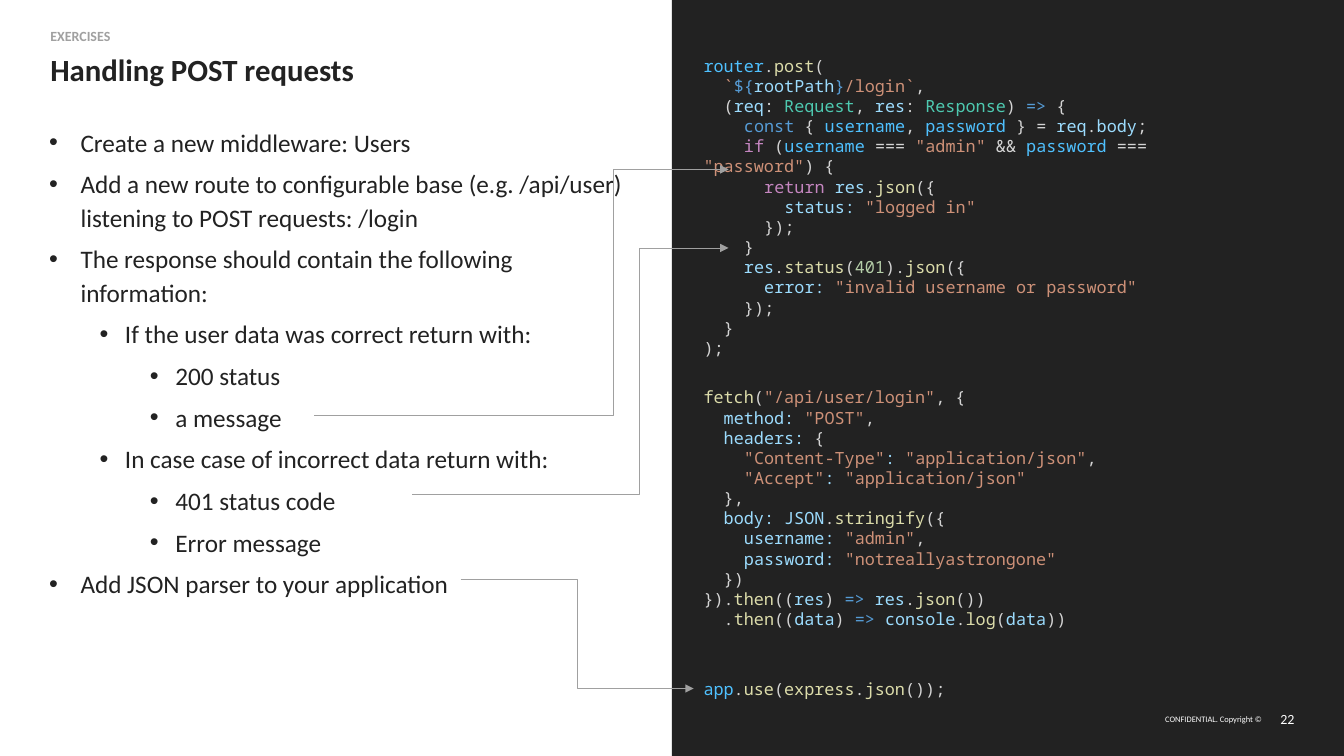
"""Build a slide on handling POST requests, with exercise steps linked to code."""
from lxml.etree import SubElement
from pptx import Presentation
from pptx.dml.color import RGBColor
from pptx.enum.shapes import MSO_CONNECTOR, MSO_SHAPE
from pptx.enum.text import MSO_ANCHOR as ANCHOR, PP_ALIGN as ALIGN
from pptx.oxml.ns import qn
from pptx.util import Cm, Pt

COLOURS = {
    "white": "FFFFFF",
    "dark": "222222",
    "grey": "A0A0A0",
    "op": "D4D4D4",
    "const": "4FC1FF",
    "fn": "DCDCAA",
    "str": "CE9178",
    "key": "569CD6",
    "var": "9CDCFE",
    "type": "4EC9B0",
    "flow": "C586C0",
    "num": "B5CEA8",
}
CODE_INDENT = 0.51


def add_frame(left, top, width, height, inset=True, anchor=ANCHOR.TOP):
    box = slide.shapes.add_textbox(Cm(left), Cm(top), Cm(width), Cm(height))
    frame = box.text_frame
    frame.word_wrap = True
    frame.vertical_anchor = anchor
    if not inset:
        frame.margin_left = frame.margin_right = 0
        frame.margin_top = frame.margin_bottom = 0
    return frame


def add_text(frame, text, size=18, colour="dark", font="Calibri", bold=False, align=ALIGN.LEFT,
             line_spacing=None, before=0, margin=0, indent=0, bullet=False, code=False):
    paragraph = frame.paragraphs[0]
    if paragraph.runs:
        paragraph = frame.add_paragraph()
    paragraph.alignment = align
    paragraph.space_before = Pt(before)
    if line_spacing:
        paragraph.line_spacing = line_spacing
    properties = paragraph._p.get_or_add_pPr()
    properties.set("marL", str(Cm(margin)))
    properties.set("indent", str(Cm(indent)))
    if bullet:
        SubElement(properties, qn("a:buFont"), typeface="Arial")
        SubElement(properties, qn("a:buChar"), char="•")
    pieces = [piece.split(":", 1) for piece in text.split("|")] if code else [(colour, text)]
    for kind, words in pieces:
        run = paragraph.add_run()
        run.text = words
        run.font.size = Pt(size)
        run.font.name = font
        run.font.bold = bold
        run.font.color.rgb = RGBColor.from_string(COLOURS[kind])


presentation = Presentation()
presentation.slide_width = Cm(33.87)
presentation.slide_height = Cm(19.05)
slide = presentation.slides.add_slide(presentation.slide_layouts[6])

panel = slide.shapes.add_shape(MSO_SHAPE.RECTANGLE, Cm(16.93), 0, Cm(16.94), Cm(19.05))
panel.shadow.inherit = False
panel.fill.solid()
panel.fill.fore_color.rgb = RGBColor.from_string(COLOURS["dark"])
panel.line.fill.background()

footer = add_frame(29.18, 17.81, 2.62, 0.61, inset=False, anchor=ANCHOR.MIDDLE)
add_text(footer, "CONFIDENTIAL. Copyright ©", size=6, colour="white", align=ALIGN.RIGHT)
page_number = add_frame(31.93, 17.81, 0.69, 0.61, inset=False, anchor=ANCHOR.MIDDLE)
add_text(page_number, "22", size=10, colour="white", align=ALIGN.RIGHT)
section = add_frame(1.27, 0.64, 10.03, 0.64, inset=False)
add_text(section, "EXERCISES", size=10, colour="grey", bold=True, line_spacing=1.1, before=6)
title = add_frame(1.27, 1.27, 13.34, 1.27, inset=False)
add_text(title, "Handling POST requests", size=22, bold=True)

steps = [
    (0, "Create a new middleware: Users"),
    (0, "Add a new route to configurable base (e.g. /api/user) listening to POST requests: /login"),
    (0, "The response should contain the following information:"),
    (1, "If the user data was correct return with:"),
    (2, "200 status"),
    (2, "a message"),
    (1, "In case case of incorrect data return with:"),
    (2, "401 status code"),
    (2, "Error message"),
    (0, "Add JSON parser to your application"),
]
step_indents = [(0.79, -0.79), (1.91, -0.64), (3.18, -0.64)]
step_list = add_frame(0.99, 3, 15.11, 12.93)
for level, step in steps:
    margin, indent = step_indents[level]
    add_text(step_list, step, line_spacing=1.1, before=6, margin=margin, indent=indent, bullet=True)

parser_code = [
    (0, "const:app|op:.|fn:use|op:(|fn:express|op:.|fn:json|op:());"),
]
route_code = [
    (0, "const:router|op:.|fn:post|op:("),
    (1, "str:`|key:${|var:rootPath|key:}|str:/login`|op:,"),
    (1, "op:(|var:req|op:: |type:Request|op:, |var:res|op:: |type:Response|op:) |key:=>|op: {"),
    (2, "key:const|op: { |const:username|op:, |const:password|op: } = |var:req|op:.|var:body|op:;"),
    (2, 'flow:if|op: (|const:username|op: === |str:"admin"|op: && |const:password|op: === '
        '|str:"password"|op:) {'),
    (3, "flow:return |var:res|op:.|fn:json|op:({"),
    (4, 'var:status: |str:"logged in"'),
    (3, "op:});"),
    (2, "op:}"),
    (2, "var:res|op:.|fn:status|op:(|num:401|op:).|fn:json|op:({"),
    (3, 'var:error: |str:"invalid username or password"'),
    (2, "op:});"),
    (1, "op:}"),
    (0, "op:);"),
]
fetch_code = [
    (0, 'fn:fetch|op:(|str:"/api/user/login"|op:, {'),
    (1, 'var:method: |str:"POST"|op:,'),
    (1, "var:headers:|op: {"),
    (2, 'str:"Content-Type"|var:: |str:"application/json"|op:,'),
    (2, 'str:"Accept"|var:: |str:"application/json"'),
    (1, "op:},"),
    (1, "var:body: JSON|op:.|fn:stringify|op:({"),
    (2, 'var:username: |str:"admin"|op:,'),
    (2, 'var:password: |str:"notreallyastrongone"'),
    (1, "op:})"),
    (0, "op:}).|fn:then|op:((|var:res|op:) |key:=> |var:res|op:.|fn:json|op:())"),
    (1, "op:.|fn:then|op:((|var:data|op:) |key:=> |var:console|op:.|fn:log|op:(|var:data|op:))"),
]
code_blocks = [
    (16.97, 13.46, 0.76, parser_code),
    (1.27, 14.71, 7.44, route_code),
    (9.63, 15.11, 6.4, fetch_code),
]
for top, width, height, lines in code_blocks:
    frame = add_frame(17.48, top, width, height)
    for level, line in lines:
        add_text(frame, line, size=12, font="Noto Sans Mono", indent=level * CODE_INDENT, code=True)

arrows = [
    (11.61, 14.6, 17.48, 17.35, 50000),
    (10.39, 12.45, 18.36, 6.25, 71800),
    (7.92, 10.46, 18.36, 4.27, 72200),
]
for start_x, start_y, end_x, end_y, bend in arrows:
    arrow = slide.shapes.add_connector(
        MSO_CONNECTOR.ELBOW, Cm(start_x), Cm(start_y), Cm(end_x), Cm(end_y))
    arrow.line.width = Pt(0.5)
    arrow.line.color.rgb = RGBColor.from_string(COLOURS["grey"])
    SubElement(arrow.line._get_or_add_ln(), qn("a:tailEnd"), type="triangle")
    properties = arrow._element.spPr
    SubElement(properties, qn("a:effectLst"))
    guides = properties.find(qn("a:prstGeom")).get_or_add_avLst()
    SubElement(guides, qn("a:gd"), name="adj1", fmla=f"val {bend}")

presentation.save("out.pptx")
